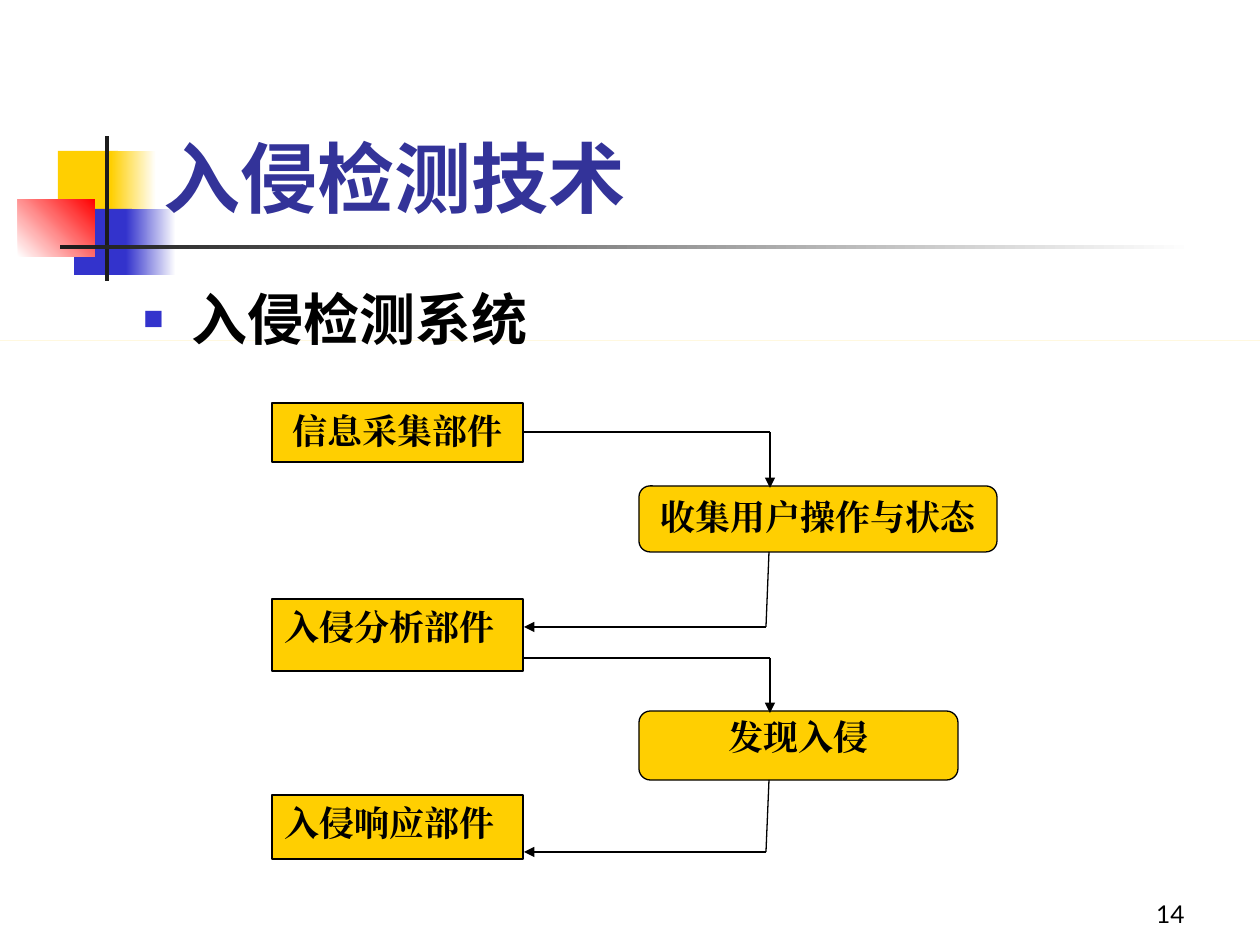
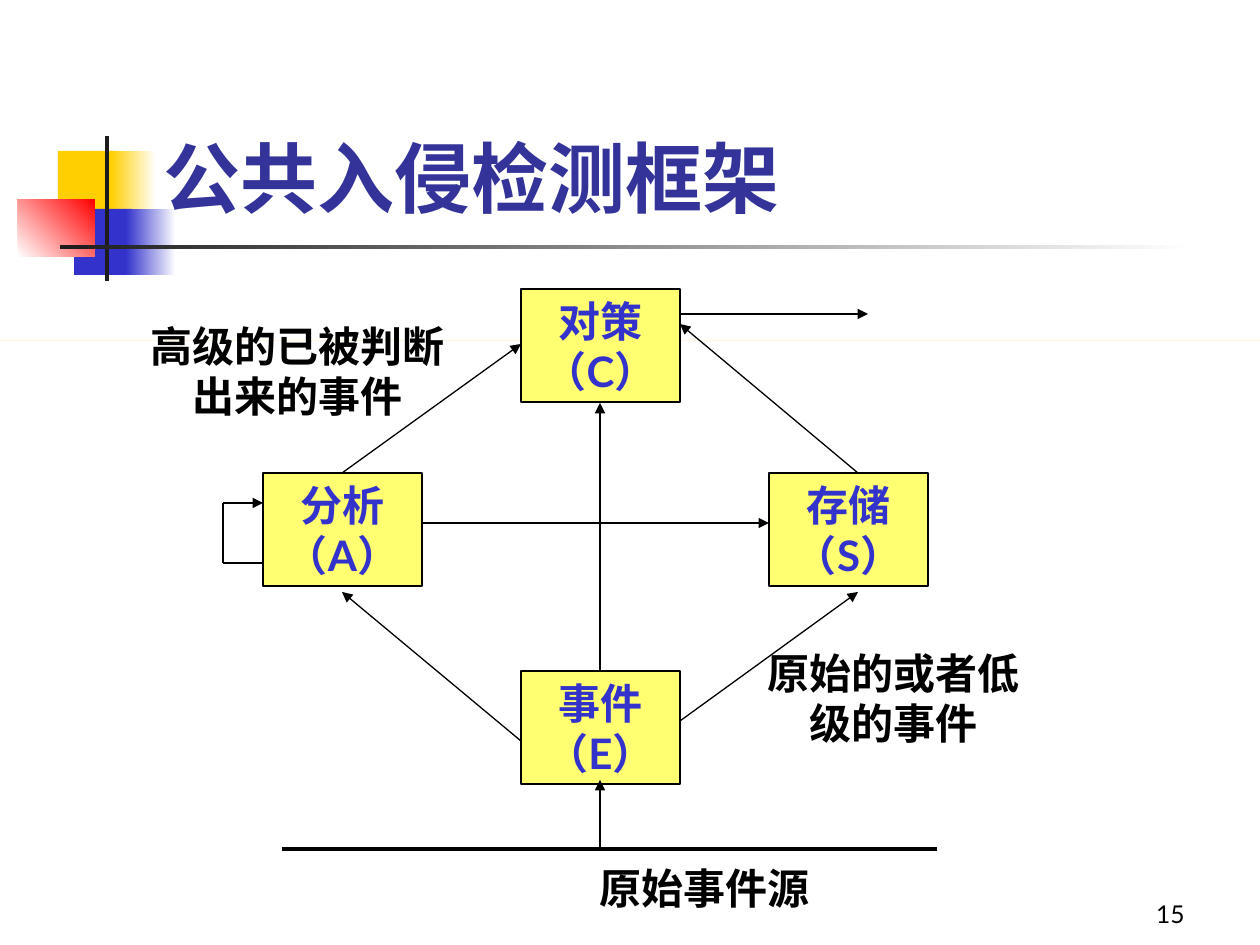
import pptx
import pptx.dml.color
import pptx.enum.shapes
import pptx.enum.text
import pptx.oxml.ns
import pptx.util
from lxml import etree

SCALE = 914400 / 126  # EMU in one px
SLIDE_BOX = (0, 0, 1260, 945)
TITLE_FONT, BOX_FONT, BODY_FONT = "Noto Sans CJK SC", "Times New Roman", "Lato"
BLACK, WHITE, INK = "000000", "FFFFFF", "1C1C1C"
GOLD, BLUE, RED, NAVY, LEMON = "FFCF01", "3333CC", "FF0000", "333399", "FFFF71"

RECTANGLE = pptx.enum.shapes.MSO_SHAPE.RECTANGLE
ROUNDED = pptx.enum.shapes.MSO_SHAPE.ROUNDED_RECTANGLE
ALIGN = pptx.enum.text.PP_ALIGN
ANCHOR = pptx.enum.text.MSO_ANCHOR


def px(length):
    return pptx.util.Emu(round(length * SCALE))


def color(hex_text):
    return pptx.dml.color.RGBColor.from_string(hex_text)


def add_element(parent, tag, **attributes):
    return etree.SubElement(parent, pptx.oxml.ns.qn(tag), attributes)


def inside(box, left, top, width=0, height=0):
    """Place a part relative to the top left corner of a box."""
    return box[0] + left, box[1] + top, width, height


def write_text(shape, text, font=BODY_FONT, size=24, ink=BLACK, bold=True,
               align=ALIGN.CENTER, anchor=ANCHOR.TOP, line_spacing=None, bullet=None):
    frame = shape.text_frame
    frame.word_wrap = True
    frame.vertical_anchor = anchor
    paragraph = frame.paragraphs[0]
    paragraph.alignment = align
    if line_spacing:
        paragraph.line_spacing = line_spacing
    if bullet:
        properties = paragraph._p.get_or_add_pPr()
        properties.set("marL", str(px(48)))
        properties.set("indent", str(-px(48)))
        bullet_color = add_element(properties, "a:buClr")
        add_element(bullet_color, "a:srgbClr", val=BLUE)
        add_element(properties, "a:buSzPct", val="60000")
        add_element(properties, "a:buFont", typeface=BOX_FONT)
        add_element(properties, "a:buChar", char=bullet)
    run = paragraph.add_run()
    run.text = text
    run.font.size = pptx.util.Pt(size)
    run.font.bold = bold
    run.font.color.rgb = color(ink)
    run.font.name = font
    add_element(run._r.get_or_add_rPr(), "a:ea", typeface=font)


def add_text(slide, box, text, **text_format):
    shape = slide.shapes.add_textbox(*map(px, box))
    write_text(shape, text, **text_format)


def add_box(slide, box, fill, fade_to=None, angle=0, outline=None, kind=RECTANGLE):
    shape = slide.shapes.add_shape(kind, *map(px, box))
    shape.shadow.inherit = False
    if fade_to:
        shape.fill.gradient()
        shape.fill.gradient_angle = angle
        for stop, hex_text in zip(shape.fill.gradient_stops, (fill, fade_to)):
            stop.color.rgb = color(hex_text)
    else:
        shape.fill.solid()
        shape.fill.fore_color.rgb = color(fill)
    if outline:
        shape.line.color.rgb = color(outline)
        shape.line.width = pptx.util.Pt(0.75)
    else:
        shape.line.fill.background()
    return shape


def add_path(slide, *points, arrow=True, width=0.75):
    """Join points with straight lines, with an arrowhead at the last one."""
    for start, end in zip(points, points[1:]):
        connector = slide.shapes.add_connector(
            pptx.enum.shapes.MSO_CONNECTOR.STRAIGHT, *map(px, start[:2] + end[:2]))
        connector.line.color.rgb = color(BLACK)
        connector.line.width = pptx.util.Pt(width)
        if arrow and end is points[-1]:
            add_element(connector.line._get_or_add_ln(), "a:tailEnd", type="triangle")
        add_element(connector._element.spPr, "a:effectLst")


def add_ornament(slide, box):
    # Coloured squares
    add_box(slide, inside(box, 40, 15, 60, 66), GOLD)
    add_box(slide, inside(box, 93, 15, 45, 66), GOLD, fade_to=WHITE)
    add_box(slide, inside(box, 56, 73, 58, 66), BLUE)
    add_box(slide, inside(box, 108, 73, 50, 66), BLUE, fade_to=WHITE)
    add_box(slide, inside(box, 0, 63, 77, 58), WHITE, fade_to=RED, angle=45)
    # Crossing bars
    add_box(slide, inside(box, 87, 0, 4, 145), INK)
    add_box(slide, inside(box, 42, 109, 1134, 4), INK, fade_to=WHITE)


def add_base_slide(presentation, box, title, number):
    slide = presentation.slides.add_slide(presentation.slide_layouts[6])
    add_ornament(slide, inside(box, 18, 136))
    add_text(slide, inside(box, 935, 872, 262, 63), str(number), size=14, bold=False,
             align=ALIGN.RIGHT, anchor=ANCHOR.BOTTOM)
    add_text(slide, inside(box, 151, 122, 973, 110), title, font=TITLE_FONT, size=44,
             ink=NAVY, align=ALIGN.LEFT, anchor=ANCHOR.MIDDLE)
    add_box(slide, inside(box, 0, 341, box[2], 0), GOLD)  # hairline
    return slide


def add_component_flow(slide, box):
    # Components in the left column
    components = (("信息采集部件", 59, ALIGN.CENTER), ("入侵分析部件", 72, ALIGN.LEFT),
                  ("入侵响应部件", 64, ALIGN.LEFT))
    for row, (name, height, align) in enumerate(components):
        shape = add_box(slide, inside(box, 0, 196 * row, 251, height), GOLD, outline=BLACK)
        write_text(shape, name, font=BOX_FONT, size=20, align=align)

    # Results on the right, each linked to the component before and after it
    results = (("收集用户操作与状态", 83, 358, 66, None, 29, 224),
               ("发现入侵", 308, 319, 69, 0.9, 255, 449))
    for name, top, width, height, spacing, leave, enter in results:
        shape = add_box(slide, inside(box, 367, top, width, height), GOLD,
                        outline=BLACK, kind=ROUNDED)
        write_text(shape, name, font=BOX_FONT, size=20, line_spacing=spacing)
        add_path(slide, inside(box, 252, leave), inside(box, 498, leave),
                 inside(box, 498, top + 2))
        add_path(slide, inside(box, 497, top + height), inside(box, 494, enter),
                 inside(box, 252, enter))


def add_framework(slide, box):
    width, height = 159, 113
    middle = width // 2

    # Event source line
    ground = 560
    add_path(slide, inside(box, 148, ground), inside(box, 803, ground), arrow=False, width=2.25)

    # Four units
    analysis = inside(box, 129, 184, width, height)
    storage = inside(box, 635, 184, width, height)
    event = inside(box, 387, 382, width, height)
    response = inside(box, 387, 0, width, height)
    units = ((analysis, "分析（A）"), (storage, "存储（S）"),
             (event, "事件（E）"), (response, "对策（C）"))
    for unit, name in units:
        write_text(add_box(slide, unit, LEMON, outline=BLACK), name, ink=BLUE)

    # Arrows between units
    below = height + 6
    storage_port = middle + 10
    add_path(slide, inside(analysis, width, 50), inside(storage, 0, 50))
    add_path(slide, inside(event, middle, 0), inside(response, middle, height + 1))
    add_path(slide, inside(analysis, middle, 0), inside(response, 0, 55))
    add_path(slide, inside(event, width, 50), inside(storage, storage_port, below))
    add_path(slide, inside(event, 0, 70), inside(analysis, middle, below))
    add_path(slide, inside(storage, storage_port, 0), inside(response, width, 35))

    # Analysis loop, response output and event input
    add_path(slide, inside(analysis, 0, 90), inside(analysis, -40, 90),
             inside(analysis, -40, 30), inside(analysis, 0, 30))
    add_path(slide, inside(response, width, 25), inside(response, width + 188, 25))
    add_path(slide, inside(event, middle, ground - 382), inside(event, middle, height - 4))

    # Labels
    add_text(slide, inside(box, 0, 25, 328, 113), "高级的已被判断出来的事件")
    add_text(slide, inside(box, 616, 352, 287, 113), "原始的或者低级的事件")
    add_text(slide, inside(box, 407, 567, 328, 63), "原始事件源")


def main():
    presentation = pptx.Presentation()
    presentation.slide_width = px(SLIDE_BOX[2])
    presentation.slide_height = px(SLIDE_BOX[3])

    slide = add_base_slide(presentation, SLIDE_BOX, "入侵检测技术", 14)
    add_text(slide, (131, 278, 1024, 610), "入侵检测系统", font=TITLE_FONT, size=32,
             align=ALIGN.LEFT, bullet="■")
    add_component_flow(slide, (272, 403, 725, 456))

    slide = add_base_slide(presentation, SLIDE_BOX, "公共入侵检测框架", 15)
    add_framework(slide, (134, 289, 903, 630))

    presentation.save("out.pptx")


if __name__ == "__main__":
    main()
